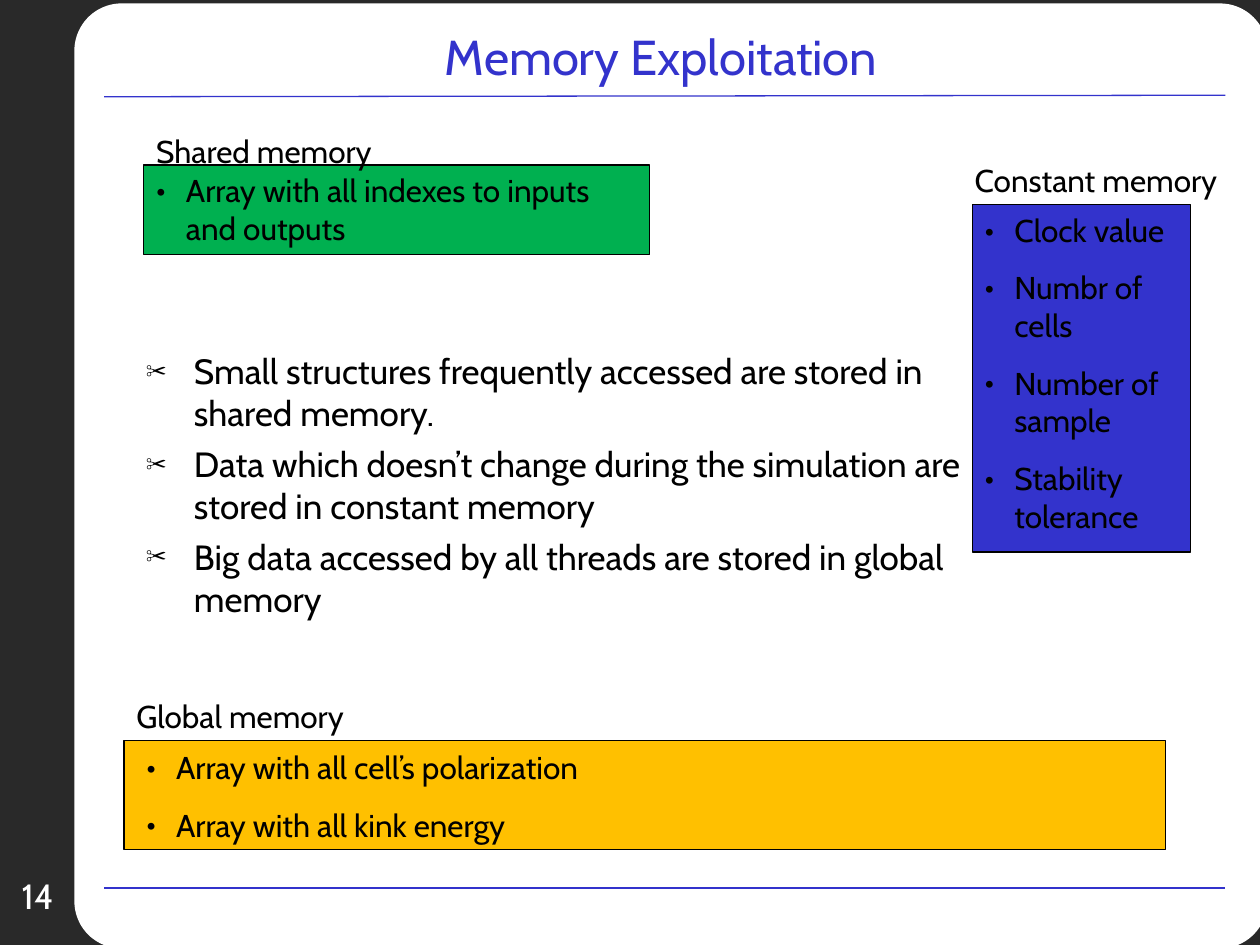
from lxml.etree import SubElement
from pptx import Presentation
from pptx.dml.color import RGBColor
from pptx.enum.shapes import MSO_CONNECTOR, MSO_SHAPE
from pptx.enum.text import MSO_ANCHOR, MSO_AUTO_SIZE, PP_ALIGN
from pptx.oxml.ns import qn
from pptx.util import Cm, Pt

BLACK = RGBColor(0x00, 0x00, 0x00)
WHITE = RGBColor(0xFF, 0xFF, 0xFF)
DARK = RGBColor(0x29, 0x29, 0x29)
BLUE = RGBColor(0x33, 0x33, 0xCC)
GREEN = RGBColor(0x00, 0xB0, 0x50)
GOLD = RGBColor(0xFF, 0xC0, 0x00)


class Deck:
    """Holds the text style and the current slide, and draws its elements."""

    def __init__(self):
        self.show = Presentation()
        self.show.slide_width, self.show.slide_height = Cm(25.4), Cm(19.05)
        self.style = {"name": "Cabin", "size": Pt(18), "bold": False}
        self.slide = None

    def start(self, color):
        self.slide = self.show.slides.add_slide(self.show.slide_layouts[5])
        fill = self.slide.background.fill
        fill.solid()
        fill.fore_color.rgb = color

    def format(self, para, size, color):
        for key, val in {**self.style, "size": Pt(size)}.items():
            setattr(para.font, key, val)
        para.font.color.rgb = color

    def title(self, text, box):
        shape = self.slide.shapes.title
        shape.element.getparent().append(shape.element)
        for key, val in zip(("left", "top", "width", "height"), box):
            setattr(shape, key, Cm(val))
        frame = shape.text_frame
        frame.text = text
        frame.vertical_anchor = MSO_ANCHOR.MIDDLE
        para = frame.paragraphs[0]
        para.alignment = PP_ALIGN.CENTER
        self.format(para, 28, BLUE)

    def block(self, box, color, edge=BLACK, kind=MSO_SHAPE.RECTANGLE):
        shape = self.slide.shapes.add_shape(kind, *map(Cm, box))
        shape.shadow.inherit = False
        shape.fill.solid()
        shape.fill.fore_color.rgb = color
        if edge is None:
            shape.line.fill.background()
        else:
            shape.line.color.rgb = edge
            shape.line.width = Pt(0.75)
        return shape

    def rule(self, *ends):
        line = self.slide.shapes.add_connector(MSO_CONNECTOR.STRAIGHT, *map(Cm, ends))
        line.line.color.rgb = BLUE
        line.line.width = Pt(0.75)
        SubElement(line.element.spPr, qn("a:effectLst"))

    def bullet(self, para, mark, indent, scale):
        props = para._p.get_or_add_pPr()
        props.set("marL", str(Cm(indent)))
        props.set("indent", str(-Cm(indent)))
        tint = SubElement(props, qn("a:buClr"))
        SubElement(tint, qn("a:srgbClr"), val=str(BLACK))
        SubElement(props, qn("a:buSzPct"), val=str(scale * 1000))
        SubElement(props, qn("a:buFont"), typeface=self.style["name"])
        SubElement(props, qn("a:buChar"), char=mark)

    def text(self, box, lines, size=18, color=BLACK, align=PP_ALIGN.LEFT,
             mark=None, indent=0.6, scale=100, gap=11.2, grow=True):
        frame = self.slide.shapes.add_textbox(*map(Cm, box)).text_frame
        frame.word_wrap = True
        frame.auto_size = MSO_AUTO_SIZE.SHAPE_TO_FIT_TEXT if grow else MSO_AUTO_SIZE.NONE
        frame.text = "\n".join(lines)
        for num, para in enumerate(frame.paragraphs):
            if mark:
                self.bullet(para, mark, indent, scale)
            para.alignment = align
            para.space_before = Pt(gap if num else 0)
            self.format(para, size, color)


def main():
    deck = Deck()
    deck.start(DARK)
    page = deck.block((1.5, 0.07, 24.05, 19.05), WHITE, None, MSO_SHAPE.ROUNDED_RECTANGLE)
    page.adjustments[0] = 0.05
    deck.rule(2.1, 1.95, 24.7, 1.92)
    deck.rule(2.1, 17.9, 24.7, 17.9)
    deck.title("Memory Exploitation", (5.44, -0.05, 15.77, 2.34))
    deck.text((-0.18, 17.5, 1.88, 0.81), ["14"], 20, WHITE, PP_ALIGN.CENTER, grow=False)

    groups = [
        ("Shared memory", (2.9, 2.53, 5.79, 1.02), GREEN,
         (2.9, 3.33, 10.2, 1.8), (2.9, 3.33, 10.2, 1.78),
         ["Array with all indexes to inputs and outputs"]),
        ("Constant memory", (19.4, 3.12, 5.99, 1.02), BLUE,
         (19.61, 4.13, 4.39, 7), (19.6, 4.13, 4.39, 6.78),
         ["Clock value", "Numbr of cells", "Number of sample", "Stability tolerance"]),
        ("Global memory", (2.5, 13.92, 5.41, 1.02), GOLD,
         (2.5, 14.93, 21, 2.2), (2.7, 14.96, 10.41, 2.18),
         ["Array with all cell’s polarization", "Array with all kink energy"]),
    ]
    for name, head, color, box, body, items in groups:
        deck.block(box, color)
        deck.text(head, [name])
        deck.text(body, items, mark="•")

    deck.text((2.69, 6.93, 17.2, 5.61), [
        "Small structures frequently accessed are stored in shared memory.",
        "Data which doesn’t change during the simulation are stored in constant memory",
        "Big data accessed by all threads are stored in global memory",
    ], 20, mark="✂", indent=0.97, scale=60, gap=5, grow=False)
    deck.show.save("out.pptx")


if __name__ == "__main__":
    main()
